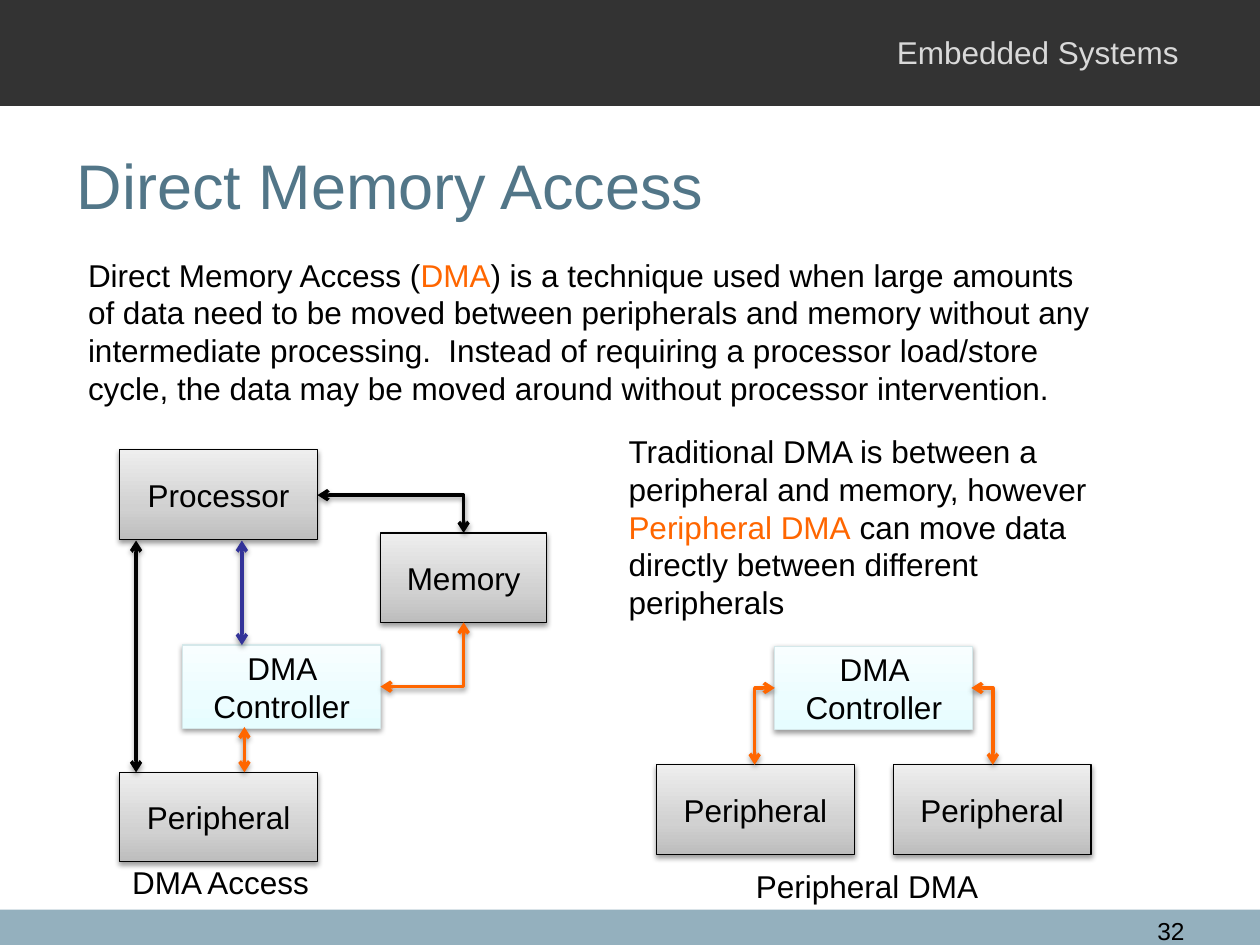
import copy
import lxml.etree
import pptx
import pptx.util
import pptx.dml.color
import pptx.enum.shapes
import pptx.enum.text
import pptx.oxml
import pptx.oxml.ns

Inches = pptx.util.Inches
Pt = pptx.util.Pt
qn = pptx.oxml.ns.qn
rgb = pptx.dml.color.RGBColor.from_string
Kind = pptx.enum.shapes.MSO_SHAPE
Link = pptx.enum.shapes.MSO_CONNECTOR
Align = pptx.enum.text.PP_ALIGN
Anchor = pptx.enum.text.MSO_ANCHOR

theme = {
    "font": "Arial", "title": 36, "text": 18, "small": 14,
    "black": "000000", "blue": "333399", "orange": "FF6600",
    "head": "527688", "pale": "D9D9D9", "dark": "333333", "foot": "94B0BE",
    "gray": {"stops": ["BDBDBD", "D1D1D1", "EEEEEE"], "edge": "000000"},
    "cyan": {"stops": ["E6FDFF", "ECFDFF", "F8FEFF"], "edge": "D5E8EA"},
}
shade = (
    f'<a:effectLst {pptx.oxml.ns.nsdecls("a")}>'
    '<a:outerShdw blurRad="39370" dist="20320" dir="5400000" rotWithShape="0">'
    '<a:srgbClr val="000000"><a:alpha val="38000"/></a:srgbClr>'
    '</a:outerShdw></a:effectLst>'
)


def write(shape, runs, size="text", align=Align.LEFT, **form):
    frame = shape.text_frame
    for name, value in {"word_wrap": True, **form}.items():
        setattr(frame, name, value)
    para = frame.paragraphs[0]
    para.alignment = align
    for text, color in runs:
        run = para.add_run()
        run.text = text
        look = {"name": theme["font"], "size": Pt(theme[size])}
        for name, value in look.items():
            setattr(run.font, name, value)
        run.font.color.rgb = rgb(theme[color])


deck = pptx.Presentation()
deck.slide_width, deck.slide_height = Inches(10), Inches(7.5)
slide = deck.slides.add_slide(deck.slide_layouts[5])
shapes = slide.shapes

for top, high, color in [(7.22, 0.28, "foot"), (0, 0.84, "dark")]:
    bar = shapes.add_shape(Kind.RECTANGLE, 0, Inches(top), Inches(10), Inches(high))
    bar.shadow.inherit = False
    bar.fill.solid()
    bar.fill.fore_color.rgb = rgb(theme[color])
    bar.line.fill.background()

title = shapes.title
place = {"left": 0.51, "top": 0.84, "width": 9, "height": 1.25}
for name, value in place.items():
    setattr(title, name, Inches(value))
write(title, [("Direct Memory Access", "head")], "title", vertical_anchor=Anchor.MIDDLE)

notes = [
    ((7.02, 0.21, 2.5, 0.4), [("Embedded Systems", "pale")], {}),
    ((8.86, 7.22, 0.64, 0.24), [("32", "black")], {"size": "small", "align": Align.RIGHT}),
    ((0.6, 1.98, 8.25, 1.31), [
        ("Direct Memory Access (", "black"),
        ("DMA", "orange"),
        (") is a technique used when large amounts of data need to be moved between "
         "peripherals and memory without any intermediate processing.  Instead of "
         "requiring a processor load/store cycle, the data may be moved around "
         "without processor intervention.", "black"),
    ], {}),
    ((4.89, 3.38, 3.97, 1.62), [
        ("Traditional DMA is between a peripheral and memory, however ", "black"),
        ("Peripheral DMA", "orange"),
        (" can move data directly between different peripherals", "black"),
    ], {}),
    ((0.95, 6.8, 1.62, 0.4), [("DMA Access", "black")], {"word_wrap": False}),
    ((5.9, 6.83, 1.98, 0.4), [("Peripheral DMA", "black")], {"word_wrap": False}),
]
for spot, runs, form in notes:
    write(shapes.add_textbox(*map(Inches, spot)), runs, **form)

wide, high = 1.57, 0.71
boxes = [
    ("Processor", 0.95, 3.57, wide, high, "gray"),
    ("DMA Controller", 1.45, 5.12, wide, 0.66, "cyan"),
    ("Memory", 3.02, 4.23, 1.32, high, "gray"),
    ("Peripheral", 0.95, 6.13, wide, high, "gray"),
    ("DMA Controller", 6.15, 5.13, wide, 0.66, "cyan"),
    ("Peripheral", 5.21, 6.07, wide, high, "gray"),
    ("Peripheral", 7.09, 6.07, wide, high, "gray"),
]
for text, *spot, tone in boxes:
    box = shapes.add_shape(Kind.RECTANGLE, *map(Inches, spot))
    props = box._element.spPr
    box.fill.gradient()
    box.fill.gradient_angle = 90
    stops = props.find(".//" + qn("a:gsLst"))
    stops.append(copy.deepcopy(stops[-1]))
    for stop, at, color in zip(box.fill.gradient_stops, (0, 0.35, 1), theme[tone]["stops"]):
        stop.position = at
        stop.color.rgb = rgb(color)
    box.line.color.rgb = rgb(theme[tone]["edge"])
    box.line.width = Pt(0.75)
    props.append(pptx.oxml.parse_xml(shade))
    write(box, [(text, "black")], align=Align.CENTER, vertical_anchor=Anchor.MIDDLE)

links = [
    (1.08, 4.29, 1.08, 6.13, "black"),
    (1.92, 5.12, 1.92, 4.29, "blue"),
    (1.94, 5.77, 1.94, 6.13, "orange"),
    (3.02, 5.45, 3.68, 4.94, "orange"),
    (2.52, 3.93, 3.68, 4.23, "black"),
    (7.71, 5.46, 7.88, 6.07, "orange"),
    (6.15, 5.46, 5.99, 6.07, "orange"),
]
for *ends, color in links:
    bent = ends[0] != ends[2]
    link = shapes.add_connector(Link.ELBOW if bent else Link.STRAIGHT, *map(Inches, ends))
    props = link._element.spPr
    if bent:
        props.find(qn("a:prstGeom")).set("prst", "bentConnector2")
    link.line.color.rgb = rgb(theme[color])
    link.line.width = Pt(2)
    for tip in ("a:headEnd", "a:tailEnd"):
        lxml.etree.SubElement(props.find(qn("a:ln")), qn(tip), type="arrow")
    props.append(pptx.oxml.parse_xml(shade))

deck.save("out.pptx")
